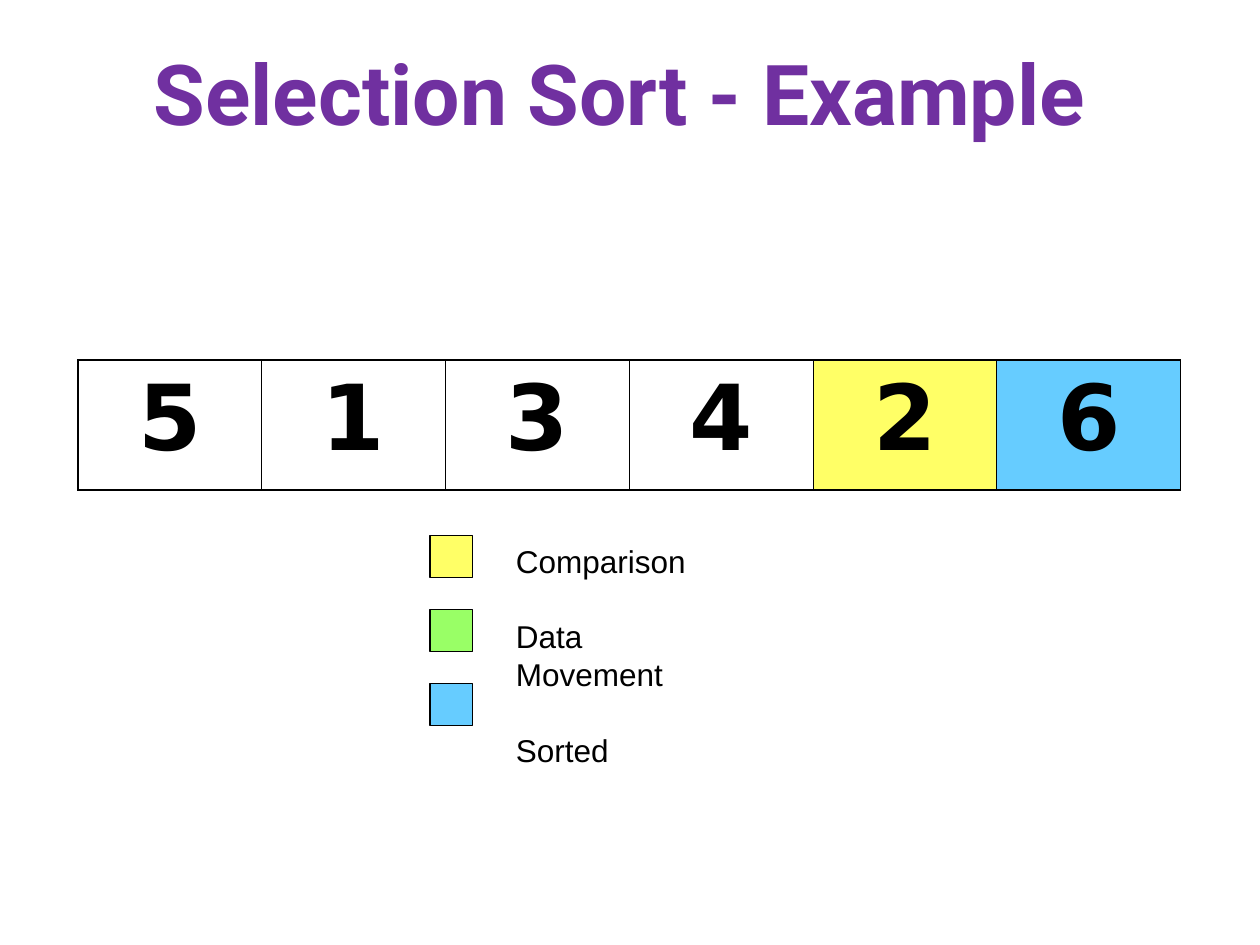
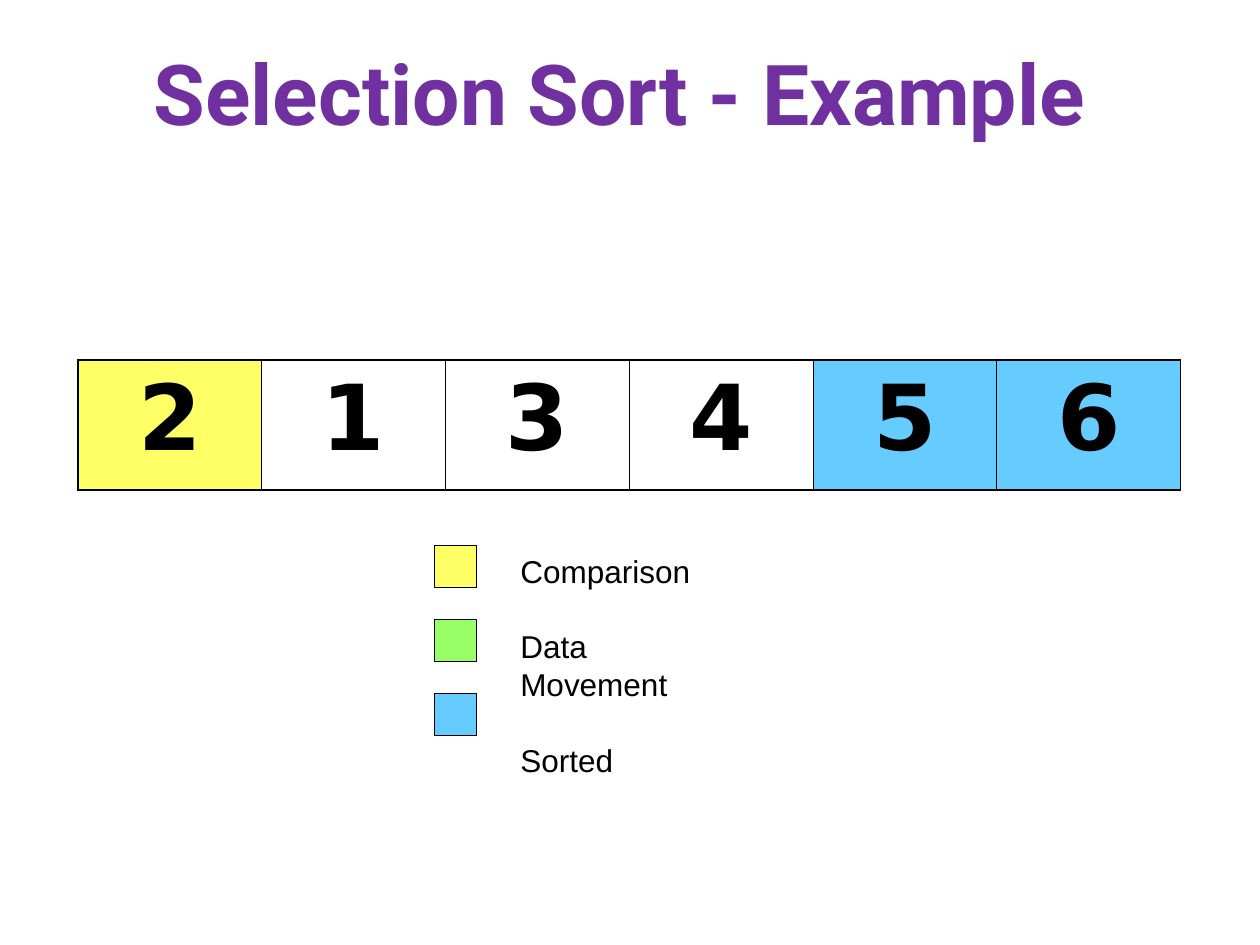
from dataclasses import dataclass

from lxml import etree
from pptx import Presentation
from pptx.dml.color import RGBColor
from pptx.enum.shapes import MSO_SHAPE
from pptx.enum.text import MSO_ANCHOR, MSO_AUTO_SIZE, PP_ALIGN
from pptx.oxml.ns import qn
from pptx.slide import Slide
from pptx.table import _Cell
from pptx.text.text import TextFrame
from pptx.util import Cm, Pt

RECT = MSO_SHAPE.RECTANGLE
CENTER, LEFT = PP_ALIGN.CENTER, PP_ALIGN.LEFT
MIDDLE = MSO_ANCHOR.MIDDLE
GROW, FIXED = MSO_AUTO_SIZE.SHAPE_TO_FIT_TEXT, MSO_AUTO_SIZE.NONE
TITLE_ONLY = 5

BLACK, PURPLE = "000000", "7030A0"
COMPARED, MOVED, SORTED = "FFFF66", "99FF66", "66CCFF"
LEGEND = {"Comparison": COMPARED, "Data Movement": MOVED, "Sorted": SORTED}
TITLE = "Selection Sort - Example "

ARRAY_LEFT, ARRAY_TOP, ARRAY_WIDTH, ARRAY_HEIGHT = 1.57, 7.26, 22.23, 2.62
OUTER_LINE, INNER_LINE = 1.08, 0.45
SWATCH, SWATCH_PITCH, LABEL_OFFSET = 0.85, 1.49, 1.48
LABEL_WIDTH, LABEL_HEIGHT, LABEL_LINE = 4.98, 4.06, 21.6


@dataclass(frozen=True)
class Step:
    """One state of the array, with fills by index and the legend position in cm."""

    values: list[int]
    fills: dict[int, str]
    legend_left: float
    legend_top: float


STEPS = [
    Step([5, 1, 3, 4, 2, 6], {4: COMPARED, 5: SORTED}, 8.67, 10.8),
    Step([2, 1, 3, 4, 5, 6], {0: COMPARED, 4: SORTED, 5: SORTED}, 8.76, 11.0),
]


def rgb(value: str) -> RGBColor:
    """Turn a hex string into a colour."""
    return RGBColor.from_string(value)


def write(tf: TextFrame, text: str, *, font: str, size: float, color: str = BLACK,
          bold: bool = False, align: PP_ALIGN = LEFT, line: float | None = None,
          gap: float = 0) -> None:
    """Fill a text frame, one paragraph per line of text, with gaps between them."""
    for i, words in enumerate(text.split("\n")):
        p = tf.add_paragraph() if i else tf.paragraphs[0]
        p.alignment = align
        p.space_before = Pt(gap if i else 0)
        if line:
            p.line_spacing = Pt(line)
        r = p.add_run()
        r.text = words
        r.font.name, r.font.size, r.font.bold = font, Pt(size), bold
        r.font.color.rgb = rgb(color)


def add_title(s: Slide) -> None:
    """Place and format the title placeholder."""
    sp = s.shapes.title
    sp.left, sp.top, sp.width, sp.height = Cm(0.64), Cm(0.51), Cm(24.13), Cm(2.67)
    tf = sp.text_frame
    tf.auto_size, tf.word_wrap, tf.vertical_anchor = FIXED, True, MIDDLE
    write(tf, TITLE, font="Roboto", size=48, color=PURPLE, bold=True, align=CENTER)


def set_borders(cell: _Cell, widths: dict[str, float]) -> None:
    """Draw black cell borders, with widths in points by side letter."""
    props = cell._tc.get_or_add_tcPr()
    for i, (side, width) in enumerate(widths.items()):
        ln = etree.Element(qn(f"a:ln{side}"), w=str(Pt(width)))
        fill = etree.SubElement(ln, qn("a:solidFill"))
        etree.SubElement(fill, qn("a:srgbClr"), val=BLACK)
        props.insert(i, ln)


def add_array(s: Slide, step: Step) -> None:
    """Draw the array as a one-row table."""
    count = len(step.values)
    table = s.shapes.add_table(1, count, Cm(ARRAY_LEFT), Cm(ARRAY_TOP),
                               Cm(ARRAY_WIDTH), Cm(ARRAY_HEIGHT)).table
    table.first_row = table.horz_banding = False
    for i, value in enumerate(step.values):
        cell = table.cell(0, i)
        write(cell.text_frame, str(value), font="DejaVu Sans", size=52, bold=True,
              align=CENTER)
        if i in step.fills:
            cell.fill.solid()
            cell.fill.fore_color.rgb = rgb(step.fills[i])
        else:
            cell.fill.background()
        set_borders(cell, {
            "L": INNER_LINE if i else OUTER_LINE,
            "R": INNER_LINE if i < count - 1 else OUTER_LINE,
            "T": OUTER_LINE,
            "B": OUTER_LINE,
        })


def add_legend(s: Slide, left: float, top: float) -> None:
    """Draw the colour swatches and their labels."""
    for i, color in enumerate(LEGEND.values()):
        sp = s.shapes.add_shape(RECT, Cm(left), Cm(top + i * SWATCH_PITCH),
                                Cm(SWATCH), Cm(SWATCH))
        sp.shadow.inherit = False
        sp.fill.solid()
        sp.fill.fore_color.rgb = rgb(color)
        sp.line.color.rgb = rgb(BLACK)
        sp.line.width = Pt(0.75)
    tf = s.shapes.add_textbox(Cm(left + LABEL_OFFSET), Cm(top), Cm(LABEL_WIDTH),
                              Cm(LABEL_HEIGHT)).text_frame
    tf.word_wrap, tf.auto_size = False, GROW
    write(tf, "\n".join(LEGEND), font="Arial", size=18, line=LABEL_LINE, gap=LABEL_LINE)


def main() -> None:
    """Build one slide per step and save the deck."""
    prs = Presentation()
    prs.slide_width, prs.slide_height = Cm(25.4), Cm(19.05)
    for step in STEPS:
        s = prs.slides.add_slide(prs.slide_layouts[TITLE_ONLY])
        add_title(s)
        add_array(s, step)
        add_legend(s, step.legend_left, step.legend_top)
    prs.save("out.pptx")


if __name__ == "__main__":
    main()
